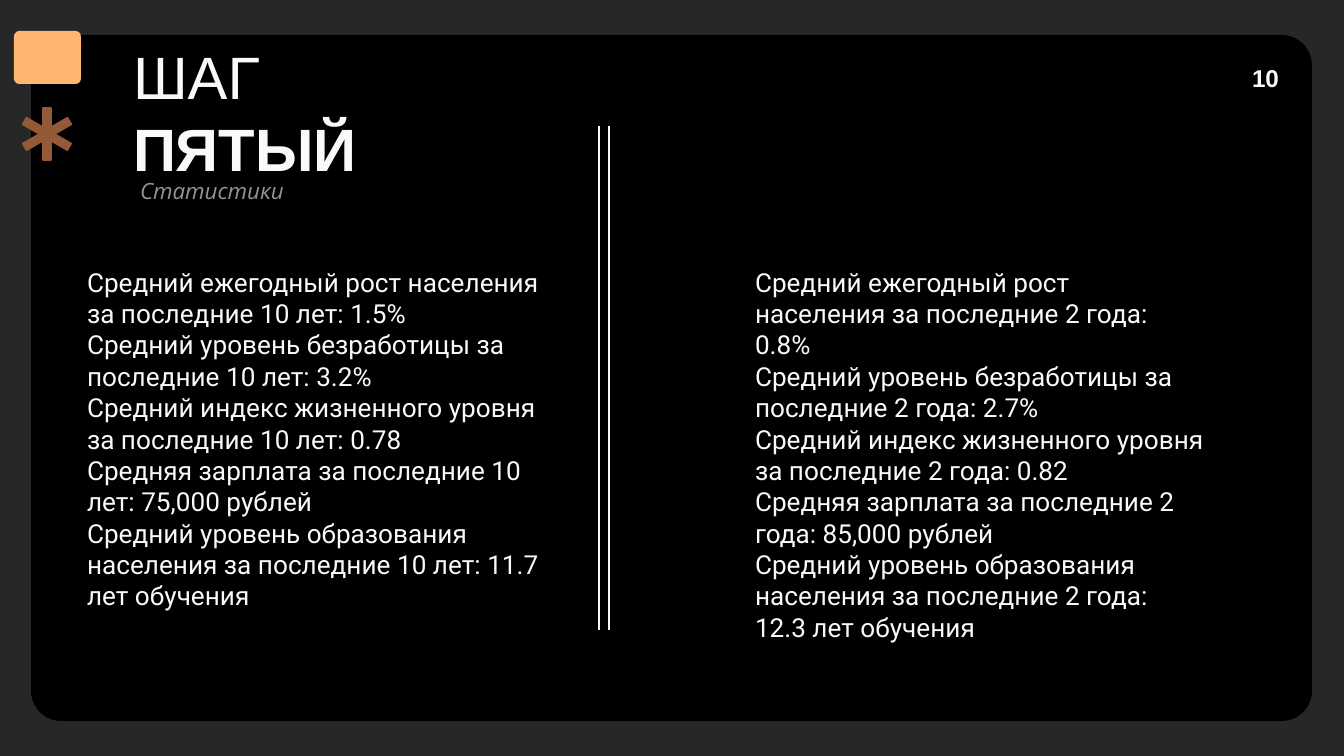
from lxml.etree import SubElement
from pptx import Presentation
from pptx.dml.color import RGBColor
from pptx.enum.shapes import MSO_CONNECTOR, MSO_SHAPE
from pptx.enum.text import MSO_ANCHOR, MSO_AUTO_SIZE, PP_ALIGN
from pptx.oxml.ns import qn
from pptx.util import Pt

# Content
TITLE = [("ШАГ", False), ("ПЯТЫЙ", True)]
SUBTITLE = "Статистики"
SLIDE_NUMBER = "10"
STATISTICS = [
    "Средний ежегодный рост населения за последние {}: {}%",
    "Средний уровень безработицы за последние {}: {}%",
    "Средний индекс жизненного уровня за последние {}: {}",
    "Средняя зарплата за последние {}: {} рублей",
    "Средний уровень образования населения за последние {}: {} лет обучения",
]
PERIODS = [
    {"period": "10 лет", "values": ["1.5", "3.2", "0.78", "75,000", "11.7"],
     "left": 74, "indent": 0},
    {"period": "2 года", "values": ["0.8", "2.7", "0.82", "85,000", "12.3"],
     "left": 719, "indent": 23},
]

# Formats
EMU_PER_PX = 914400 / 134.4
LIGHT, BROWN = "F9F9F9", "945937"
TITLE_FORMAT = {"name": "Arial", "size": Pt(32), "color": LIGHT}
NUMBER_FORMAT = {"name": "Arial", "size": Pt(13), "color": LIGHT, "bold": True}
SUBTITLE_FORMAT = {"name": "Open Sans", "size": Pt(12), "color": "939393", "italic": True}
BODY_FORMAT = {"name": "Roboto", "size": Pt(14), "color": LIGHT}


def px(length):
    return round(length * EMU_PER_PX)


def rgb(color):
    return RGBColor.from_string(color)


def set_font(font, values):
    for key, value in values.items():
        if key == "color":
            font.color.rgb = rgb(value)
        else:
            setattr(font, key, value)


def place(part, left, top, width, height):
    part.left, part.top, part.width, part.height = map(px, (left, top, width, height))


def set_frame(frame, anchor=MSO_ANCHOR.TOP):
    settings = {"word_wrap": True, "auto_size": MSO_AUTO_SIZE.NONE, "vertical_anchor": anchor}
    for side in ("left", "top", "right", "bottom"):
        settings[f"margin_{side}"] = px(13)
    for key, value in settings.items():
        setattr(frame, key, value)


def add_block(shapes, kind, box, color, radius=None, rotation=0, outlined=False):
    block = shapes.add_shape(kind, *map(px, box))
    block.shadow.inherit = False
    block.fill.solid()
    block.fill.fore_color.rgb = rgb(color)
    block.rotation = rotation
    if radius is not None:
        block.adjustments[0] = radius
    if outlined:
        block.line.color.rgb = rgb(color)
        block.line.width = Pt(0.75)
    else:
        block.line.fill.background()


def add_label(shapes, text, box, font_format):
    label = shapes.add_textbox(*map(px, box))
    set_frame(label.text_frame)
    run = label.text_frame.paragraphs[0].add_run()
    run.text = text
    set_font(run.font, font_format)


def fill_column(column, period, values, left, indent):
    place(column, left, 253, 499, 329)
    frame = column.text_frame
    set_frame(frame)
    for index, (statistic, value) in enumerate(zip(STATISTICS, values)):
        paragraph = frame.paragraphs[0] if index == 0 else frame.add_paragraph()
        paragraph.space_before = Pt(0)
        run = paragraph.add_run()
        run.text = statistic.format(period, value)
        set_font(run.font, BODY_FORMAT)
        properties = paragraph._p.get_or_add_pPr()
        properties.set("marL", str(px(indent)))
        properties.set("indent", "0")
        SubElement(properties, qn("a:buNone"))


presentation = Presentation()
presentation.slide_width, presentation.slide_height = px(1344), px(756)
slide = presentation.slides.add_slide(presentation.slide_layouts[3])
shapes = slide.shapes
title, *columns = list(slide.placeholders)

# Background and panel
slide.background.fill.solid()
slide.background.fill.fore_color.rgb = rgb("272727")
add_block(shapes, MSO_SHAPE.ROUNDED_RECTANGLE, (31, 35, 1281, 686), "000000", 0.044)

# Asterisk and corner tile
for angle in (0, 300, 60):
    add_block(shapes, MSO_SHAPE.RECTANGLE, (43, 108, 8, 52), BROWN,
              rotation=angle, outlined=True)
add_block(shapes, MSO_SHAPE.ROUNDED_RECTANGLE, (14, 31, 67, 53), "FFB673", 0.1)

# Double divider
for x in (599, 609):
    divider = shapes.add_connector(MSO_CONNECTOR.STRAIGHT, px(x), px(630), px(x), px(126))
    divider.line.color.rgb = rgb(LIGHT)
    divider.line.width = Pt(0.75)
    SubElement(divider._element.spPr, qn("a:effectLst"))

# Title, one line per word
place(title, 120, 54, 394, 142)
set_frame(title.text_frame, MSO_ANCHOR.BOTTOM)
heading = title.text_frame.paragraphs[0]
heading.alignment = PP_ALIGN.LEFT
for index, (word, bold) in enumerate(TITLE):
    if index:
        heading.add_line_break()
    run = heading.add_run()
    run.text = word
    set_font(run.font, {**TITLE_FORMAT, "bold": bold})

# Subtitle and slide number
add_label(shapes, SUBTITLE, (127, 164, 379, 102), SUBTITLE_FORMAT)
add_label(shapes, SLIDE_NUMBER, (1239, 50, 81, 58), NUMBER_FORMAT)

# Statistics columns
for column, content in zip(columns, PERIODS):
    fill_column(column, **content)

# Placeholders go in front of the panel
for placeholder in (title, *columns):
    shapes._spTree.append(placeholder._element)

presentation.save("out.pptx")
